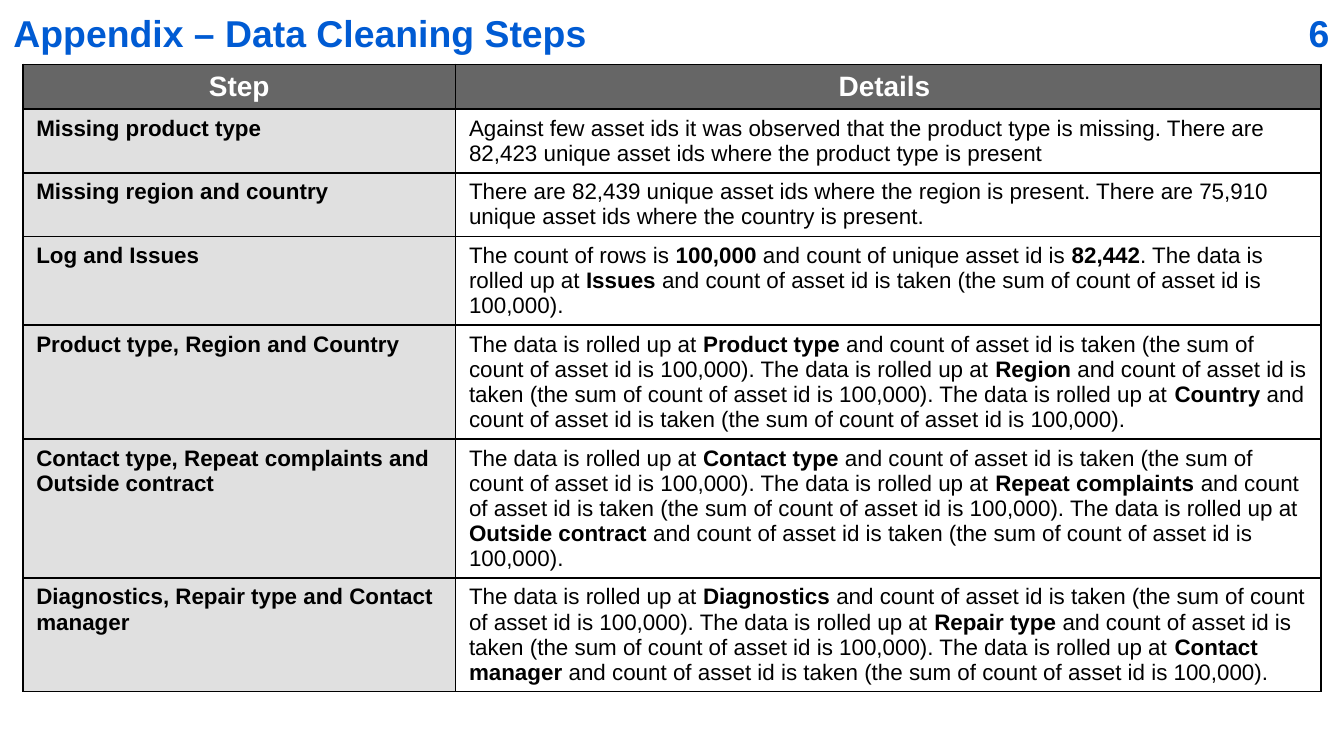
from lxml import etree
from pptx import Presentation
from pptx.dml.color import RGBColor
from pptx.enum import text
from pptx.oxml.ns import qn
from pptx.util import Inches, Pt

THEME = {
    "font": "Arial", "heading": "005BD3", "header_fill": "666666",
    "header_text": "FFFFFF", "step_fill": "E0E0E0", "body": "000000",
    "border": "000000", "title_pt": 20, "header_pt": 15, "body_pt": 12,
}

# Content: details alternate between plain and bold runs
TITLE, PAGE = "Appendix – Data Cleaning Steps", "6"
HEADERS = ("Step", "Details ")
TAKEN = "and count of asset id is taken (the sum of count of asset id is 100,000)."
ROLLED = "The data is rolled up at "


def rollup(*fields):
    runs = [ROLLED]
    for field in fields:
        runs += [field + " ", f"{TAKEN} {ROLLED}"]
    return runs[:-1] + [TAKEN]


STEPS = [
    ("Missing product type",
     ["Against few asset ids it was observed that the product type is missing. "
      "There are 82,423 unique asset ids where the product type is present "]),
    ("Missing region and country ",
     ["There are 82,439 unique asset ids where the region is present. "
      "There are 75,910 unique asset ids where the country is present. "]),
    ("Log and Issues",
     ["The count of rows is ", "100,000", " and count of unique asset id is ",
      "82,442", ". The data is rolled up at ", "Issues ", TAKEN + " "]),
    ("Product type, Region and Country ",
     rollup("Product type", "Region", "Country")),
    ("Contact type, Repeat complaints and Outside contract ",
     rollup("Contact type", "Repeat complaints", "Outside contract")),
    ("Diagnostics, Repair type and Contact manager ",
     rollup("Diagnostics", "Repair type", "Contact manager")),
]

# Layout in inches: a 16:9 slide, rows grow to fit their text
WIDTH, BAND = 10, 0.48
HEIGHT = WIDTH * 9 / 16
TABLE_LEFT, TABLE_WIDTH = 0.17, 9.66
ROW_MIN = 0.3


def add_run(paragraph, words, size, color, bold=True):
    run = paragraph.add_run()
    run.text = words
    run.font.name, run.font.size, run.font.bold = THEME["font"], Pt(size), bold
    run.font.color.rgb = RGBColor.from_string(color)


def fill_heading(box, left, width, words, align):
    box.left, box.top = Inches(left), 0
    box.width, box.height = Inches(width), Inches(BAND)
    frame = box.text_frame
    frame.word_wrap = True
    frame.auto_size = text.MSO_AUTO_SIZE.NONE
    frame.vertical_anchor = text.MSO_ANCHOR.MIDDLE
    frame.paragraphs[0].alignment = align
    add_run(frame.paragraphs[0], words, THEME["title_pt"], THEME["heading"])


def style_cell(cell, fill=None):
    props = cell._tc.get_or_add_tcPr()
    for side in ("a:lnL", "a:lnR", "a:lnT", "a:lnB"):
        line = etree.SubElement(props, qn(side), w=str(Pt(1)))
        solid = etree.SubElement(line, qn("a:solidFill"))
        etree.SubElement(solid, qn("a:srgbClr"), val=THEME["border"])
    if fill:
        cell.fill.solid()
        cell.fill.fore_color.rgb = RGBColor.from_string(fill)
    else:
        cell.fill.background()
    return cell.text_frame.paragraphs[0]


deck = Presentation()
deck.slide_width, deck.slide_height = Inches(WIDTH), Inches(HEIGHT)
slide = deck.slides.add_slide(deck.slide_layouts[5])

# Title and page number
fill_heading(slide.shapes.title, 0, WIDTH, TITLE, text.PP_ALIGN.LEFT)
fill_heading(slide.shapes.add_textbox(0, 0, 0, 0), 9, 0.99, PAGE, text.PP_ALIGN.RIGHT)

# Table: one third for steps, two thirds for details
table_frame = slide.shapes.add_table(
    len(STEPS) + 1, 2, Inches(TABLE_LEFT), Inches(BAND),
    Inches(TABLE_WIDTH), Inches(ROW_MIN * (len(STEPS) + 1)))
table = table_frame.table
table.first_row = table.horz_banding = False
for column, share in zip(table.columns, (1, 2)):
    column.width = Inches(TABLE_WIDTH * share / 3)
table_frame.height = Inches(4.95)

for index, header in enumerate(HEADERS):
    paragraph = style_cell(table.cell(0, index), THEME["header_fill"])
    paragraph.alignment = text.PP_ALIGN.CENTER
    add_run(paragraph, header, THEME["header_pt"], THEME["header_text"])

for index, (step, details) in enumerate(STEPS, 1):
    add_run(style_cell(table.cell(index, 0), THEME["step_fill"]),
            step, THEME["body_pt"], THEME["body"])
    paragraph = style_cell(table.cell(index, 1))
    for position, words in enumerate(details):
        add_run(paragraph, words, THEME["body_pt"], THEME["body"], position % 2 == 1)

deck.save("out.pptx")
